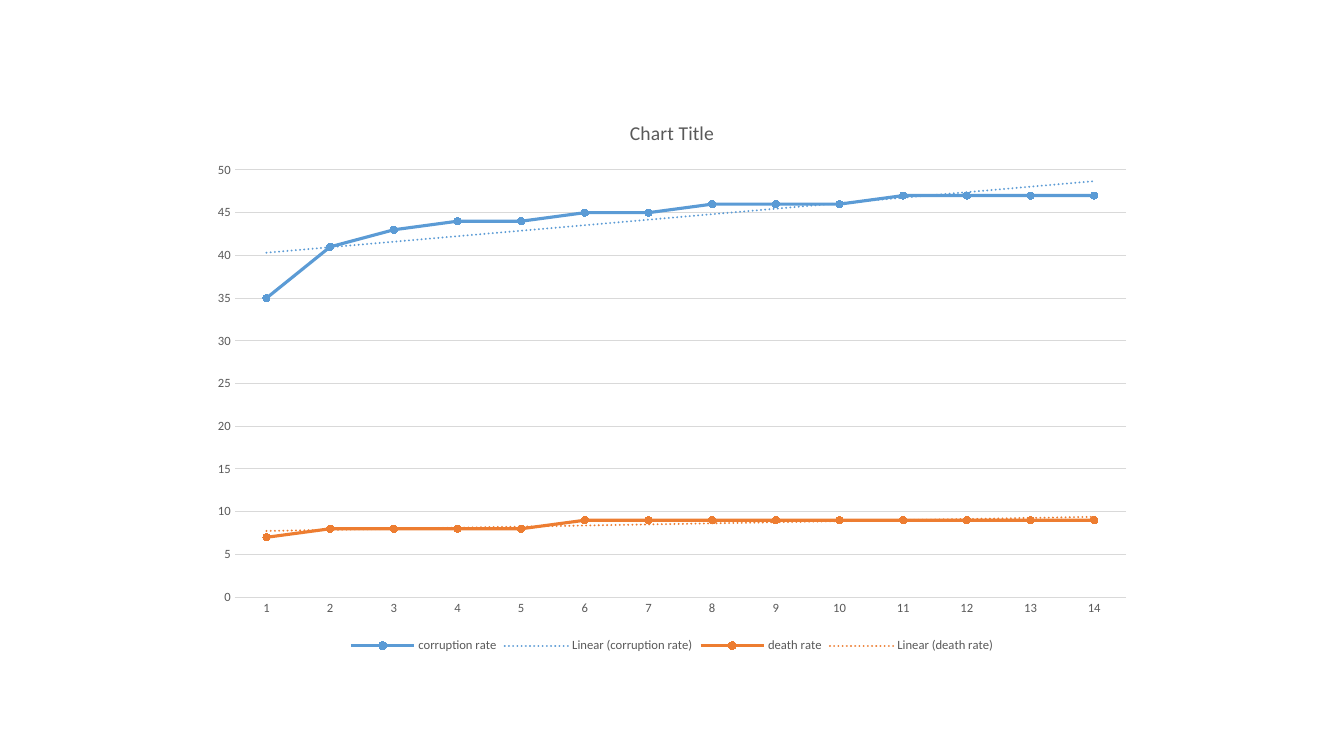
from dataclasses import dataclass

from lxml import etree
from pptx import Presentation
from pptx import util as u
from pptx.chart.data import CategoryChartData
from pptx.dml.color import RGBColor
from pptx.enum import chart as ch
from pptx.oxml import ns

PX_PER_INCH = 100.8

RATES = {
    "corruption rate": [35, 41, 43, 44, 44, 45, 45, 46, 46, 46, 47, 47, 47, 47],
    "death rate": [7, 8, 8, 8, 8, 9, 9, 9, 9, 9, 9, 9, 9, 9],
}


@dataclass(frozen=True)
class Theme:
    font: str = "Calibri"
    text: str = "595959"
    rule: str = "D9D9D9"
    series: tuple = ("5B9BD5", "ED7D31")
    title_pt: float = 14
    label_pt: float = 9
    rule_pt: float = 0.75
    series_pt: float = 2.25
    trend_pt: float = 1.5
    marker_size: int = 5


def px(n):
    return u.Inches(n / PX_PER_INCH)


class Deck:
    def __init__(self, theme, w, h):
        self.theme = theme
        self.prs = Presentation()
        self.prs.slide_width, self.prs.slide_height = px(w), px(h)
        self.s = self.prs.slides.add_slide(self.prs.slide_layouts[6])

    def font(self, f, size):
        f.name, f.size, f.bold = self.theme.font, u.Pt(size), False
        f.color.rgb = RGBColor.from_string(self.theme.text)

    def line(self, ln, color, width):
        ln.color.rgb = RGBColor.from_string(color)
        ln.width = u.Pt(width)

    def trend(self, ser, color):
        """Add a dotted linear trend line, which the schema wants before c:cat."""
        t = self.theme
        xml = (
            f'<c:trendline {ns.nsdecls("c", "a")}><c:spPr>'
            f'<a:ln w="{u.Pt(t.trend_pt)}" cap="rnd"><a:solidFill>'
            f'<a:srgbClr val="{color}"/></a:solidFill>'
            '<a:prstDash val="sysDot"/></a:ln></c:spPr>'
            '<c:trendlineType val="linear"/>'
            '<c:dispRSqr val="0"/><c:dispEq val="0"/></c:trendline>'
        )
        ser._element.find(ns.qn("c:cat")).addprevious(etree.fromstring(xml))

    def style_series(self, ser, color):
        t = self.theme
        ser.smooth = False
        self.line(ser.format.line, color, t.series_pt)
        m = ser.marker
        m.style, m.size = ch.XL_MARKER_STYLE.CIRCLE, t.marker_size
        m.format.fill.solid()
        m.format.fill.fore_color.rgb = RGBColor.from_string(color)
        self.line(m.format.line, color, t.rule_pt)
        self.trend(ser, color)

    def style_axes(self, chart):
        t = self.theme
        cat, val = chart.category_axis, chart.value_axis
        for axis in (cat, val):
            axis.major_tick_mark = axis.minor_tick_mark = ch.XL_TICK_MARK.NONE
            self.font(axis.tick_labels.font, t.label_pt)
        self.line(cat.format.line, t.rule, t.rule_pt)
        val.format.line.fill.background()
        val.minimum_scale, val.maximum_scale, val.major_unit = 0, 50, 5
        val.tick_labels.number_format = "General"
        val.tick_labels.number_format_is_linked = False
        self.line(val.major_gridlines.format.line, t.rule, t.rule_pt)

    def line_chart(self, title, rates, x, y, w, h):
        t = self.theme
        data = CategoryChartData()
        count = max(map(len, rates.values()))
        data.categories = [str(i + 1) for i in range(count)]
        for name, values in rates.items():
            data.add_series(name, values)
        chart = self.s.shapes.add_chart(
            ch.XL_CHART_TYPE.LINE_MARKERS, px(x), px(y), px(w), px(h), data
        ).chart
        self.font(chart.font, t.label_pt)

        tf = chart.chart_title.text_frame
        tf.text = title
        self.font(tf.paragraphs[0].font, t.title_pt)
        chart.chart_title.include_in_layout = False

        chart.has_legend = True
        chart.legend.position = ch.XL_LEGEND_POSITION.BOTTOM
        chart.legend.include_in_layout = False
        self.font(chart.legend.font, t.label_pt)

        self.style_axes(chart)
        plot = chart.plots[0]
        plot.vary_by_categories = False
        for ser, color in zip(plot.series, t.series):
            self.style_series(ser, color)


def main():
    deck = Deck(Theme(), 1344, 756)
    deck.line_chart("Chart Title", RATES, 199, 99, 946, 558)
    deck.prs.save("out.pptx")


if __name__ == "__main__":
    main()
